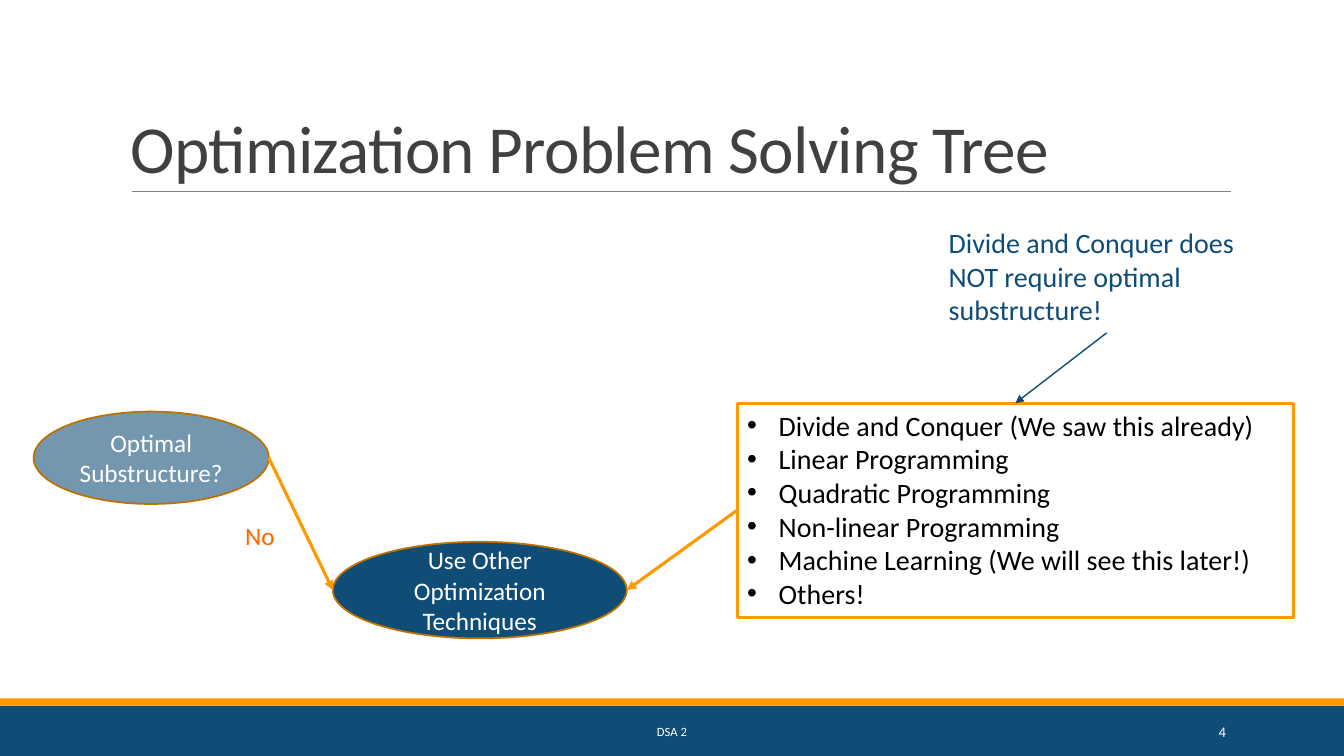
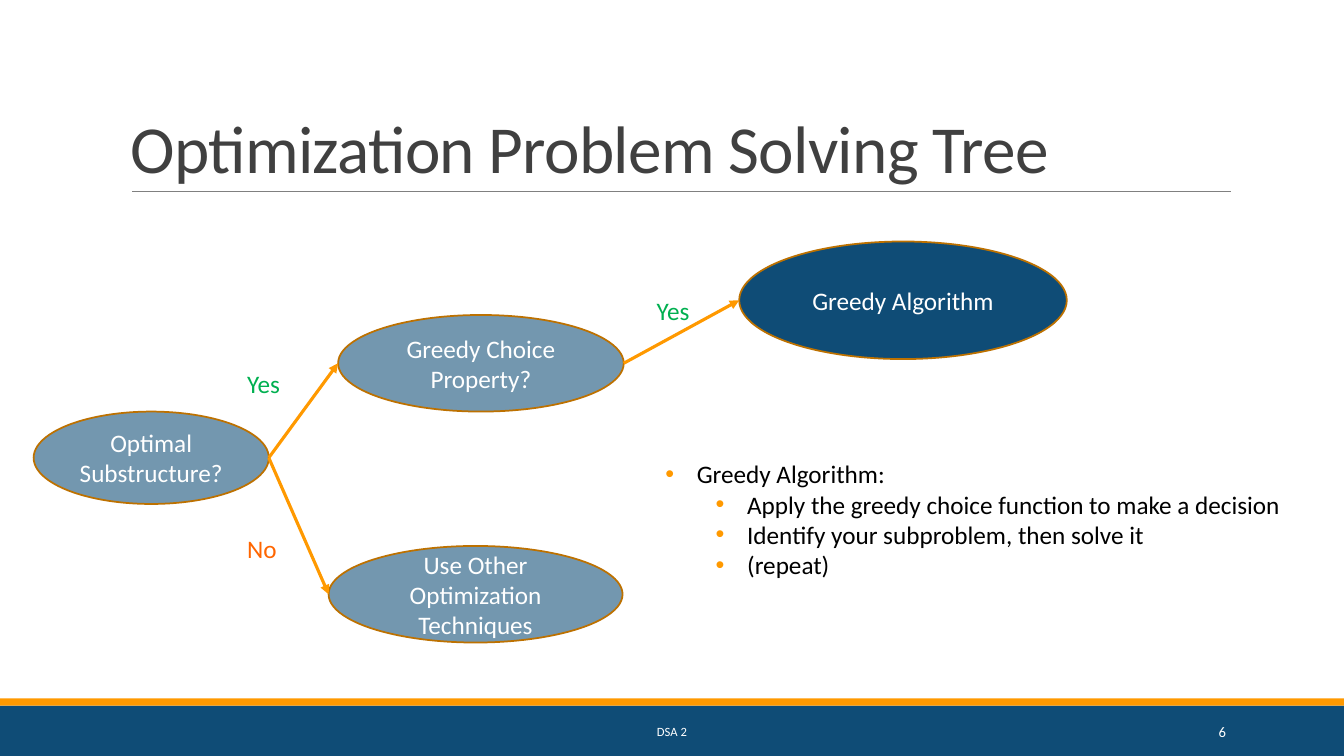
from lxml.etree import SubElement as Sub
from pptx import Presentation
from pptx.dml.color import RGBColor as RGB
from pptx.enum.shapes import MSO_CONNECTOR, MSO_SHAPE as SHAPE, MSO_SHAPE_TYPE as KIND
from pptx.enum.text import MSO_ANCHOR as ANCHOR, MSO_AUTO_SIZE as FIT, PP_ALIGN as ALIGN
from pptx.oxml.ns import qn
from pptx.util import Emu, Pt

FONT = "Calibri"
NAVY = RGB(0x0F, 0x4C, 0x76)
ORANGE = RGB(0xFF, 0x99, 0x00)
BROWN = RGB(0xBD, 0x71, 0x00)
GREEN = RGB(0x00, 0xB0, 0x50)
RED = RGB(0xFF, 0x66, 0x00)
GRAY = RGB(0x80, 0x80, 0x80)
DARK = RGB(0x40, 0x40, 0x40)
BLACK = RGB(0, 0, 0)
WHITE = RGB(0xFF, 0xFF, 0xFF)

TOP, LEFT, BOTTOM, RIGHT = range(4)
SIDES = {TOP: (0.5, 0), LEFT: (0, 0.5), BOTTOM: (0.5, 1), RIGHT: (1, 0.5)}
INDENT, STEP = 30, 48
TITLE = "Optimization Problem Solving Tree"


def px(n):
    return Emu(n * 9525)


def place(shape, *box):
    shape.left, shape.top, shape.width, shape.height = map(px, box)


def style(frame, size, color, align=ALIGN.LEFT, anchor=ANCHOR.TOP):
    frame.word_wrap = True
    frame.auto_size = FIT.NONE
    frame.vertical_anchor = anchor
    for para in frame.paragraphs:
        para.alignment = align
        for run in para.runs:
            run.font.name = FONT
            run.font.size = Pt(size)
            run.font.color.rgb = color


def band(slide, top, height, color):
    bar = slide.shapes.add_shape(SHAPE.RECTANGLE, 0, px(top), px(1280), px(height))
    bar.shadow.inherit = False
    bar.fill.solid()
    bar.fill.fore_color.rgb = color
    bar.line.fill.background()


def label(slide, text, box, color, size=18, align=ALIGN.LEFT, anchor=ANCHOR.TOP):
    area = slide.shapes.add_textbox(*map(px, box))
    area.text_frame.text = text
    style(area.text_frame, size, color, align, anchor)
    return area


def oval(slide, text, box, alpha=None):
    """Add a tree node; alpha is the opacity of its fill in percent."""
    node = slide.shapes.add_shape(SHAPE.OVAL, *map(px, box))
    node.shadow.inherit = False
    node.fill.solid()
    node.fill.fore_color.rgb = NAVY
    if alpha:
        tint = node.fill._xPr.find(".//" + qn("a:srgbClr"))
        Sub(tint, qn("a:alpha"), val=str(alpha * 1000))
    node.line.color.rgb = BROWN
    node.line.width = Pt(1.25)
    node.text_frame.text = text
    style(node.text_frame, 18, WHITE, ALIGN.CENTER, ANCHOR.MIDDLE)
    return node


def line(slide, start, end, color, width):
    rule = slide.shapes.add_connector(MSO_CONNECTOR.STRAIGHT, *start, *end)
    rule.line.color.rgb = color
    rule.line.width = Pt(width)
    Sub(rule._element.spPr, qn("a:effectLst"))
    return rule


def point(shape, side):
    across, down = SIDES[side]
    return (Emu(int(shape.left + across * shape.width)),
            Emu(int(shape.top + down * shape.height)))


def boxy(shape):
    return shape.shape_type != KIND.AUTO_SHAPE or shape.auto_shape_type != SHAPE.OVAL


def arrow(slide, tail, out, head, into, color=ORANGE, width=2.25):
    """Point from side out of tail to side into of head; glue rectangles."""
    link = line(slide, point(tail, out), point(head, into), color, width)
    Sub(link.line._get_or_add_ln(), qn("a:tailEnd"), type="triangle")
    if boxy(tail):
        link.begin_connect(tail, out)
    if boxy(head):
        link.end_connect(head, into)


def bullets(slide, items, box, size, color):
    """Fill the body placeholder with (level, text) items."""
    body = slide.placeholders[1]
    place(body, *box)
    frame = body.text_frame
    frame.text = "\n".join(text for _, text in items)
    style(frame, size, BLACK)
    for para, (level, _) in zip(frame.paragraphs, items):
        para.level = level
        para.space_before = Pt(0)
        props = para._p.get_or_add_pPr()
        props.set("marL", str(px(INDENT + level * STEP)))
        props.set("indent", str(px(-INDENT)))
        Sub(Sub(props, qn("a:buClr")), qn("a:srgbClr"), val=str(color))
        Sub(props, qn("a:buFont"), typeface="Arial")
        Sub(props, qn("a:buChar"), char="•")
    return body


def start(deck, number):
    """Add a slide with the shared title, rule, bands and footer."""
    slide = deck.slides.add_slide(deck.slide_layouts[1])
    band(slide, 672, 48, NAVY)
    band(slide, 665, 7, ORANGE)
    line(slide, (px(126), px(182)), (px(1172), px(182)), GRAY, 0.5)
    title = slide.shapes.title
    place(title, 115, 30, 1056, 153)
    title.text_frame.text = TITLE
    style(title.text_frame, 48, DARK, anchor=ANCHOR.BOTTOM)
    para = title.text_frame.paragraphs[0]
    para.line_spacing = 0.85
    para.runs[0].font._element.set("spc", "-50")
    label(slide, "DSA 2", (387, 678, 506, 38), WHITE, 9, ALIGN.CENTER, ANCHOR.MIDDLE)
    label(slide, number, (1040, 678, 137, 38), WHITE, 10.5, ALIGN.RIGHT, ANCHOR.MIDDLE)
    return slide


def root(slide):
    return oval(slide, "Optimal Substructure?", (32, 392, 224, 88), 58)


def other(slide, left, top, alpha=None):
    return oval(slide, "Use Other Optimization Techniques", (left, top, 280, 92), alpha)


def methods(deck):
    slide = start(deck, "4")
    first = root(slide)
    rest = other(slide, 317, 516)
    arrow(slide, first, RIGHT, rest, LEFT)
    label(slide, "No", (224, 491, 64, 39), RED)
    items = ["Divide and Conquer (We saw this already)", "Linear Programming",
             "Quadratic Programming", "Non-linear Programming",
             "Machine Learning (We will see this later!)", "Others!"]
    body = bullets(slide, [(0, item) for item in items], (702, 384, 530, 204), 20, BLACK)
    body.line.color.rgb = ORANGE
    body.line.width = Pt(2.25)
    arrow(slide, body, LEFT, rest, RIGHT)
    note = label(slide, "Divide and Conquer does NOT require optimal substructure!",
                 (894, 210, 320, 107), NAVY, 20)
    arrow(slide, note, BOTTOM, body, TOP, NAVY, 1)


def greedy(deck):
    slide = start(deck, "6")
    first = root(slide)
    choice = oval(slide, "Greedy Choice Property?", (322, 300, 272, 92), 58)
    rest = other(slide, 313, 520, 58)
    goal = oval(slide, "Greedy Algorithm", (704, 230, 312, 112))
    for tail, head in ((first, choice), (first, rest), (choice, goal)):
        arrow(slide, tail, RIGHT, head, LEFT)
    for text, left, top, color in (("Yes", 226, 346, GREEN), ("No", 226, 503, RED),
                                   ("Yes", 616, 277, GREEN)):
        label(slide, text, (left, top, 64, 39), color)
    items = [(0, "Greedy Algorithm:"),
             (1, "Apply the greedy choice function to make a decision"),
             (1, "Identify your subproblem, then solve it"),
             (1, "(repeat)")]
    bullets(slide, items, (624, 432, 640, 156), 18, ORANGE)


def main():
    deck = Presentation()
    deck.slide_width, deck.slide_height = px(1280), px(720)
    methods(deck)
    greedy(deck)
    deck.save("out.pptx")


if __name__ == "__main__":
    main()
